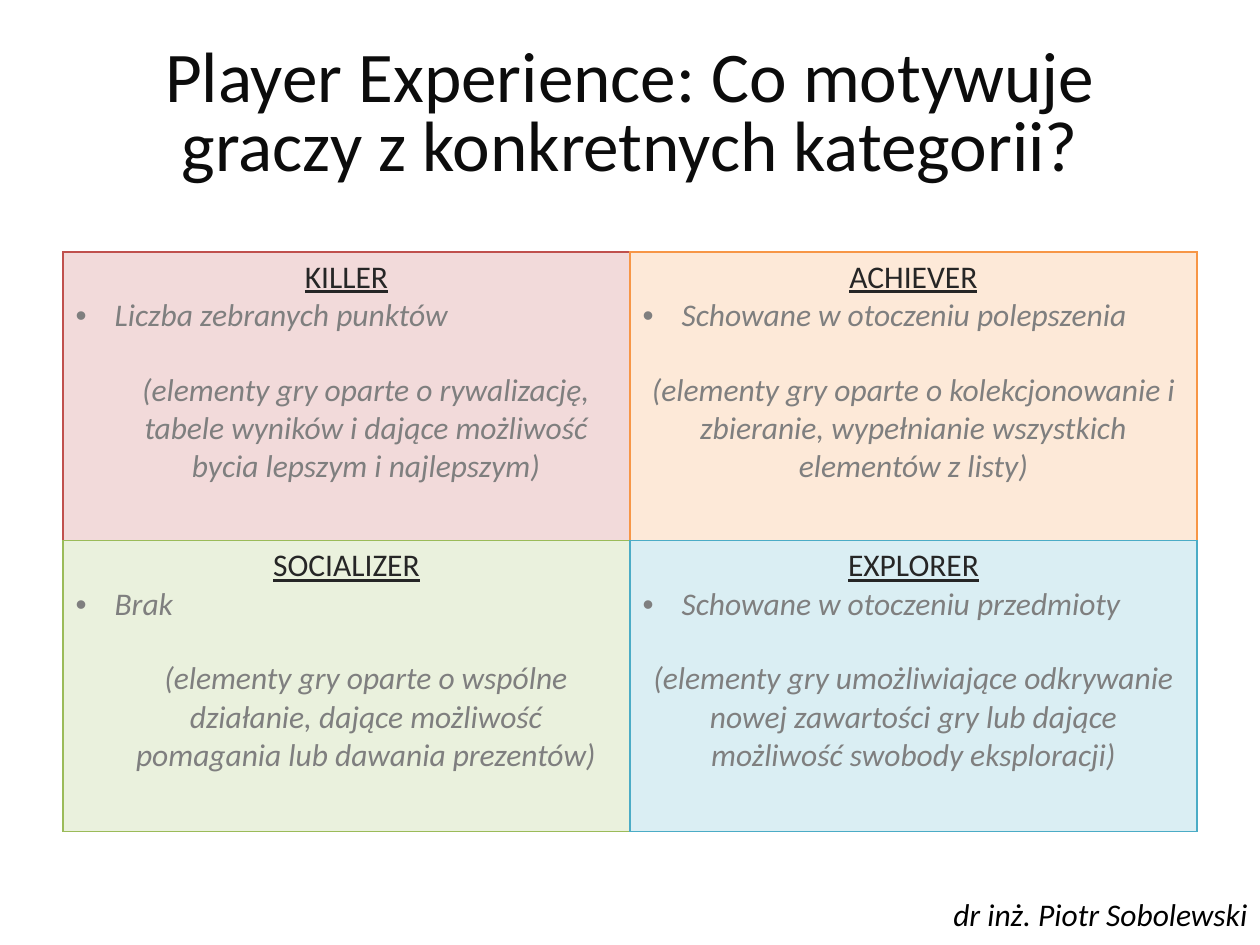
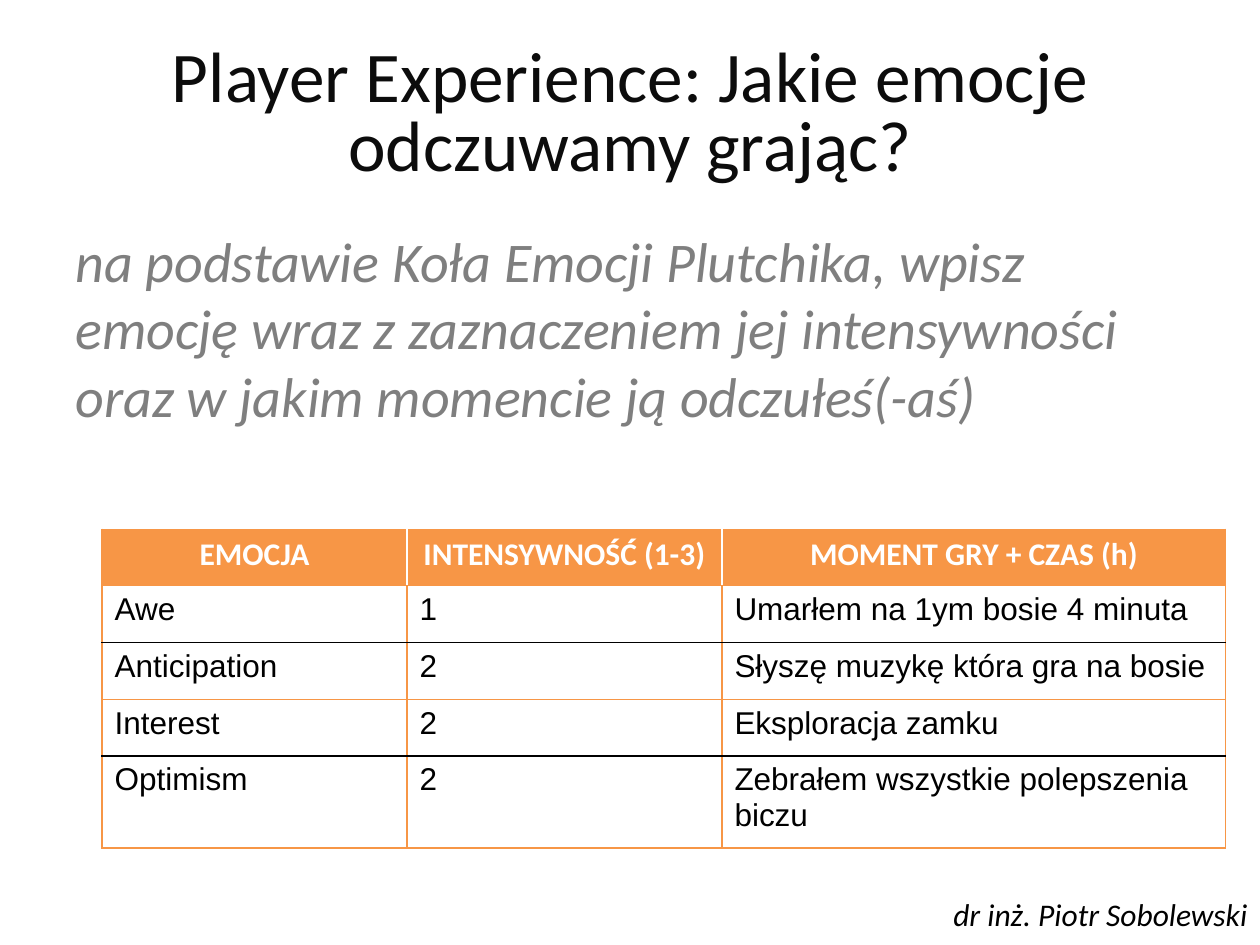
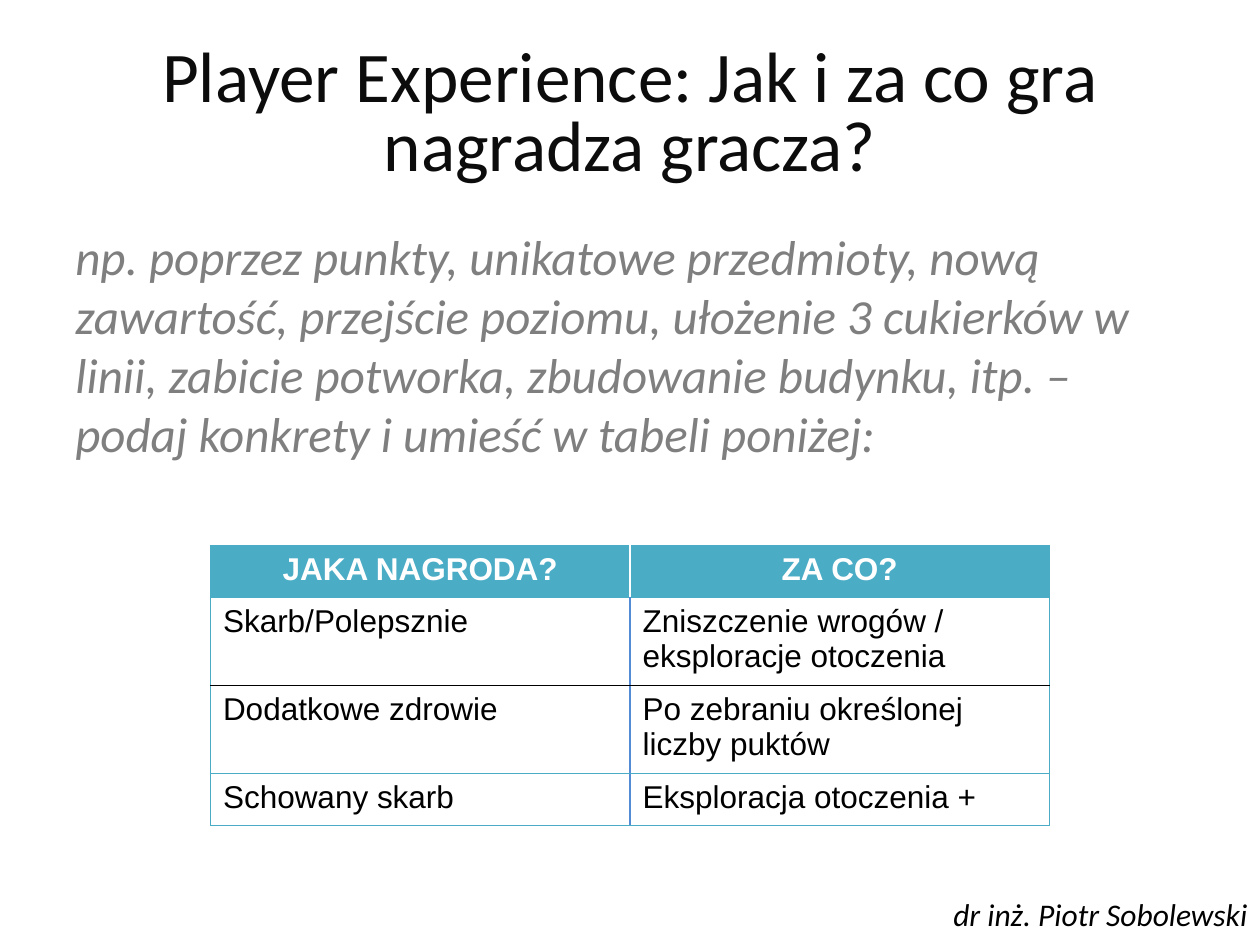
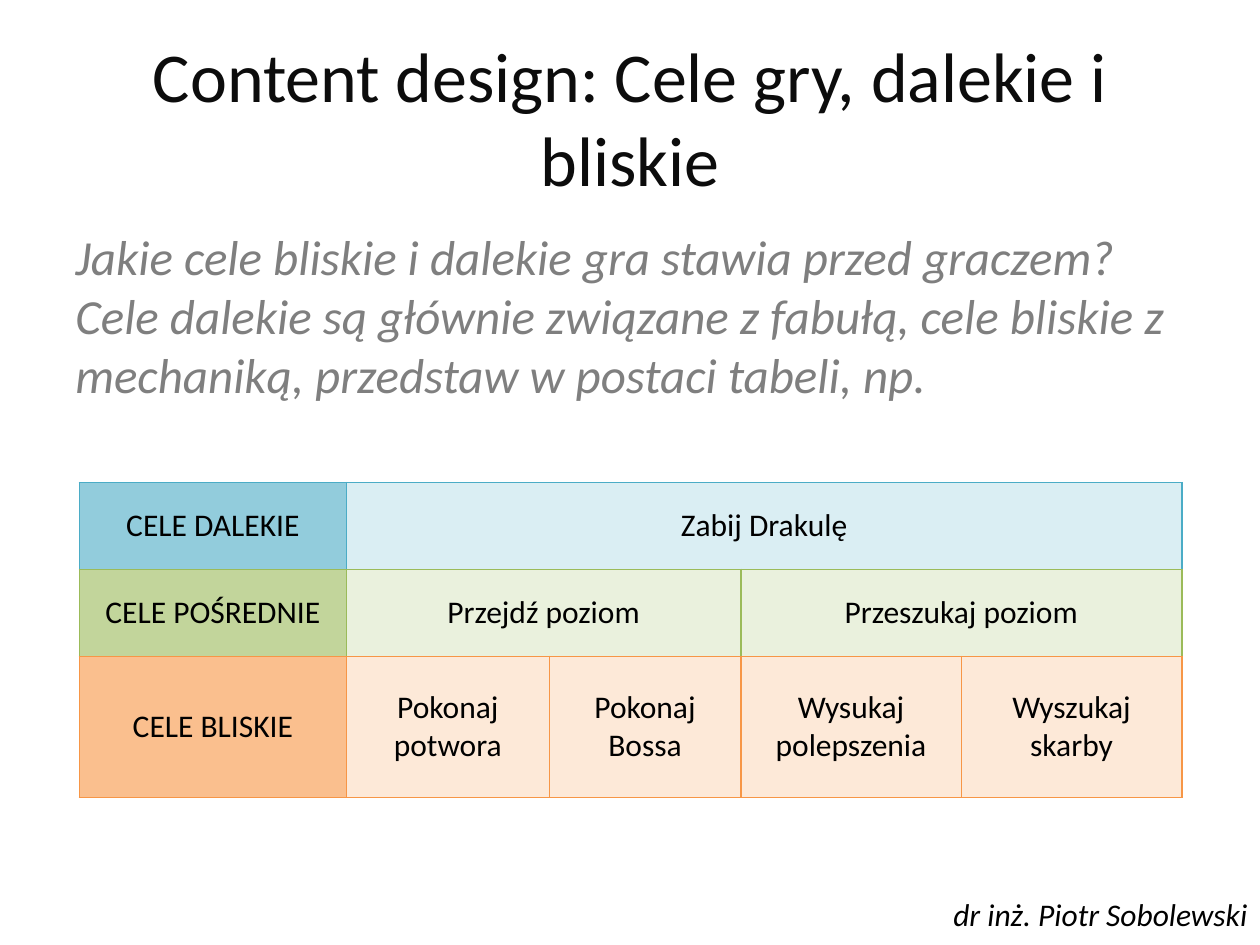
from lxml import etree
from pptx import Presentation
from pptx.dml.color import RGBColor
from pptx.enum.text import MSO_ANCHOR, MSO_AUTO_SIZE, PP_ALIGN
from pptx.oxml.ns import qn
from pptx.util import Inches, Pt

LEFT, CENTER, RIGHT = PP_ALIGN.LEFT, PP_ALIGN.CENTER, PP_ALIGN.RIGHT
TOP, MIDDLE = MSO_ANCHOR.TOP, MSO_ANCHOR.MIDDLE
GROW = MSO_AUTO_SIZE.SHAPE_TO_FIT_TEXT

BLACK = RGBColor(0x00, 0x00, 0x00)
WHITE = RGBColor(0xFF, 0xFF, 0xFF)
TITLE_INK = RGBColor(0x0C, 0x0C, 0x0C)
HEADING_INK = RGBColor(0x26, 0x26, 0x26)
GRAY = RGBColor(0x7F, 0x7F, 0x7F)
RED = RGBColor(0xC0, 0x50, 0x4D)
ORANGE = RGBColor(0xF7, 0x96, 0x46)
GREEN = RGBColor(0x9B, 0xBB, 0x59)
TEAL = RGBColor(0x4B, 0xAC, 0xC6)
BLUE = RGBColor(0x53, 0x8C, 0xD5)
PALE_RED = RGBColor(0xF2, 0xDA, 0xDA)
PALE_ORANGE = RGBColor(0xFD, 0xE9, 0xD8)
PALE_GREEN = RGBColor(0xEA, 0xF1, 0xDD)
PALE_TEAL = RGBColor(0xDA, 0xEE, 0xF3)
MID_ORANGE = RGBColor(0xFA, 0xBF, 0x8E)
MID_GREEN = RGBColor(0xC2, 0xD5, 0x9B)
MID_TEAL = RGBColor(0x92, 0xCC, 0xDC)

SANS, ARIAL = "Calibri", "Arial"
AUTHOR = "dr inż. Piotr Sobolewski"
THIN, NORMAL = 0.75, 0.96
HANG = Inches(0.31)

PLAYER_TYPES = [
    [("KILLER", "Liczba zebranych punktów",
      "(elementy gry oparte o rywalizację, tabele wyników i dające możliwość "
      "bycia lepszym i najlepszym)", RED, PALE_RED),
     ("ACHIEVER", "Schowane w otoczeniu polepszenia",
      "(elementy gry oparte o kolekcjonowanie i zbieranie, wypełnianie "
      "wszystkich elementów z listy)", ORANGE, PALE_ORANGE)],
    [("SOCIALIZER", "Brak",
      "(elementy gry oparte o wspólne działanie, dające możliwość pomagania "
      "lub dawania prezentów)", GREEN, PALE_GREEN),
     ("EXPLORER", "Schowane w otoczeniu przedmioty",
      "(elementy gry umożliwiające odkrywanie nowej zawartości gry lub dające "
      "możliwość swobody eksploracji)", TEAL, PALE_TEAL)],
]
EMOTIONS = [
    ("EMOCJA", "INTENSYWNOŚĆ (1-3)", "MOMENT GRY + CZAS (h)"),
    ("Awe", "1", "Umarłem na 1ym bosie 4 minuta"),
    ("Anticipation", "2", "Słyszę muzykę która gra na bosie"),
    ("Interest", "2", "Eksploracja zamku"),
    ("Optimism", "2", "Zebrałem wszystkie polepszenia biczu"),
]
REWARDS = [
    ("JAKA NAGRODA?", "ZA CO?"),
    ("Skarb/Polepsznie", "Zniszczenie wrogów / eksploracje otoczenia"),
    ("Dodatkowe zdrowie", "Po zebraniu określonej liczby puktów"),
    ("Schowany skarb", "Eksploracja otoczenia +"),
]
GOALS = [
    ("CELE DALEKIE", ["Zabij Drakulę"], TEAL, MID_TEAL, PALE_TEAL),
    ("CELE POŚREDNIE", ["Przejdź poziom", "Przeszukaj poziom"],
     GREEN, MID_GREEN, PALE_GREEN),
    ("CELE BLISKIE", ["Pokonaj potwora", "Pokonaj Bossa",
                      "Wysukaj polepszenia", "Wyszukaj skarby"],
     ORANGE, MID_ORANGE, PALE_ORANGE),
]


def write(para, text, color, size=18, font=SANS, align=LEFT,
          bold=False, italic=False, underline=False):
    """Put one styled run in a paragraph."""
    para.alignment = align
    span = para.add_run()
    span.text = text
    span.font.name = font
    span.font.size = Pt(size)
    span.font.color.rgb = color
    span.font.bold = bold
    span.font.italic = italic
    span.font.underline = underline


def add_text_box(page, left, top, width, height, anchor=TOP):
    """Add a wrapping text box and return its text frame."""
    box = page.shapes.add_textbox(Inches(left), Inches(top),
                                  Inches(width), Inches(height))
    frame = box.text_frame
    frame.word_wrap = True
    frame.vertical_anchor = anchor
    return frame


def add_page(deck, title, title_size=40.7, line_spacing=0.8):
    """Add a blank page with its title and the author's footer."""
    page = deck.slides.add_slide(deck.slide_layouts[6])
    para = add_text_box(page, 0.5, 0.3, 9, 1.25, MIDDLE).paragraphs[0]
    para.line_spacing = line_spacing
    write(para, title, TITLE_INK, title_size, align=CENTER)
    footer = add_text_box(page, 5.49, 7, 4.51, 0.5)
    footer.margin_top = footer.margin_bottom = Inches(0.1)
    footer.auto_size = GROW
    write(footer.paragraphs[0], AUTHOR, BLACK, align=RIGHT, italic=True)
    return page


def add_task(page, text, size, height):
    """Add the gray task description under the title."""
    frame = add_text_box(page, 0.5, 1.75, 9, height)
    write(frame.paragraphs[0], text, GRAY, size, italic=True)


def add_grid(page, left, top, widths, heights):
    """Add an unbanded table with the given column widths and row heights."""
    table = page.shapes.add_table(
        len(heights), len(widths), Inches(left), Inches(top),
        Inches(sum(widths)), Inches(sum(heights))).table
    table.first_row = table.horz_banding = False
    for column, width in zip(table.columns, widths):
        column.width = Inches(width)
    for row, height in zip(table.rows, heights):
        row.height = Inches(height)
    return table


def style_cell(cell, fill, left, right, top, bottom):
    """Set the four (colour, width) edges of a cell, then its fill."""
    properties = cell._tc.get_or_add_tcPr()
    for tag, (color, width) in zip(("a:lnL", "a:lnR", "a:lnT", "a:lnB"),
                                   (left, right, top, bottom)):
        line = etree.SubElement(properties, qn(tag), w=str(Pt(width)))
        solid = etree.SubElement(line, qn("a:solidFill"))
        etree.SubElement(solid, qn("a:srgbClr"), val=str(color))
    if fill is None:
        cell.fill.background()
    else:
        cell.fill.solid()
        cell.fill.fore_color.rgb = fill


def set_bullet(para, color):
    """Give a paragraph a hanging round bullet."""
    properties = para._p.get_or_add_pPr()
    properties.set("marL", str(HANG))
    properties.set("indent", str(-HANG))
    bullet_color = etree.SubElement(properties, qn("a:buClr"))
    etree.SubElement(bullet_color, qn("a:srgbClr"), val=str(color))
    etree.SubElement(properties, qn("a:buFont"), typeface=ARIAL)
    etree.SubElement(properties, qn("a:buChar"), char="•")


def add_player_types(page):
    """Add the two by two table of player types."""
    table = add_grid(page, 0.5, 2, [4.5, 4.5], [2.29, 2.31])
    for r, row in enumerate(PLAYER_TYPES):
        for c, (name, example, hint, accent, fill) in enumerate(row):
            cell = table.cell(r, c)
            own = (accent, NORMAL)
            style_cell(cell, fill, own, (row[1][3], NORMAL),
                       own, (PLAYER_TYPES[1][c][3], NORMAL))
            frame = cell.text_frame
            write(frame.paragraphs[0], name, HEADING_INK,
                  align=CENTER, underline=True)
            para = frame.add_paragraph()
            set_bullet(para, GRAY)
            write(para, example, GRAY, italic=True)
            para = frame.add_paragraph()
            para.space_before = Pt(20.5)
            if c == 0:
                para._p.get_or_add_pPr().set("marL", str(HANG))
            write(para, hint, GRAY, align=CENTER, italic=True)


def add_answers(page, left, top, widths, heights, rows,
                accent, divider, header_font):
    """Add an answer table with a filled header and alternating rules."""
    table = add_grid(page, left, top, widths, heights)
    last_row, last_column = len(rows) - 1, len(widths) - 1
    outer, rule = (accent, THIN), (BLACK, THIN)
    for r, row in enumerate(rows):
        header, ruled = r == 0, r % 2 == 0
        inner = (WHITE if header else divider, NORMAL)
        for c, text in enumerate(row):
            cell = table.cell(r, c)
            style_cell(cell, accent if header else None,
                       inner if c > 0 else outer,
                       inner if c < last_column else outer,
                       rule if ruled and not header else outer,
                       rule if ruled and r < last_row else outer)
            para = cell.text_frame.paragraphs[0]
            if header:
                write(para, text, WHITE, font=header_font,
                      align=CENTER, bold=True)
            else:
                write(para, text, BLACK, font=ARIAL)


def add_goals(page):
    """Add the goal hierarchy, each level splitting the one above."""
    table = add_grid(page, 0.63, 3.83, [2.12, 1.61, 1.52, 1.75, 1.75],
                     [0.69, 0.69, 1.12])
    for r, (level, goals, accent, label_fill, fill) in enumerate(GOALS):
        own = (accent, NORMAL)
        below = (GOALS[min(r + 1, len(GOALS) - 1)][2], NORMAL)
        span = 4 // len(goals)
        cells = [(0, level, label_fill)]
        cells += [(1 + i * span, goal, fill) for i, goal in enumerate(goals)]
        for c, text, color in cells:
            cell = table.cell(r, c)
            if c > 0 and span > 1:
                cell.merge(table.cell(r, c + span - 1))
            style_cell(cell, color, own, own, own, below)
            cell.vertical_anchor = MIDDLE
            write(cell.text_frame.paragraphs[0], text, BLACK, align=CENTER)


def main():
    """Build the four pages and save the deck."""
    deck = Presentation()
    deck.slide_width, deck.slide_height = Inches(10), Inches(7.5)

    page = add_page(deck, "Player Experience: Co motywuje graczy "
                          "z konkretnych kategorii?")
    add_player_types(page)

    page = add_page(deck, "Player Experience: Jakie emocje odczuwamy grając?")
    add_task(page, "na podstawie Koła Emocji Plutchika, wpisz emocję wraz "
                   "z zaznaczeniem jej intensywności oraz w jakim momencie "
                   "ją odczułeś(-aś)", 32, 2.5)
    add_answers(page, 0.81, 4.2, [2.42, 2.5, 4], [0.45] * 4 + [0.73],
                EMOTIONS, ORANGE, ORANGE, SANS)

    page = add_page(deck, "Player Experience: Jak i za co gra nagradza gracza?")
    add_task(page, "np. poprzez punkty, unikatowe przedmioty, nową zawartość, "
                   "przejście poziomu, ułożenie 3 cukierków w linii, zabicie "
                   "potworka, zbudowanie budynku, itp. – podaj konkrety "
                   "i umieść w tabeli poniżej:", 28, 2.25)
    add_answers(page, 1.67, 4.33, [3.33, 3.33], [0.41, 0.66, 0.66, 0.41],
                REWARDS, TEAL, BLUE, ARIAL)

    page = add_page(deck, "Content design: Cele gry, dalekie i bliskie", 40, 1.0)
    add_task(page, "Jakie cele bliskie i dalekie gra stawia przed graczem? "
                   "Cele dalekie są głównie związane z fabułą, cele bliskie "
                   "z mechaniką, przedstaw w postaci tabeli, np.", 28, 4.95)
    add_goals(page)

    deck.save("out.pptx")


if __name__ == "__main__":
    main()
